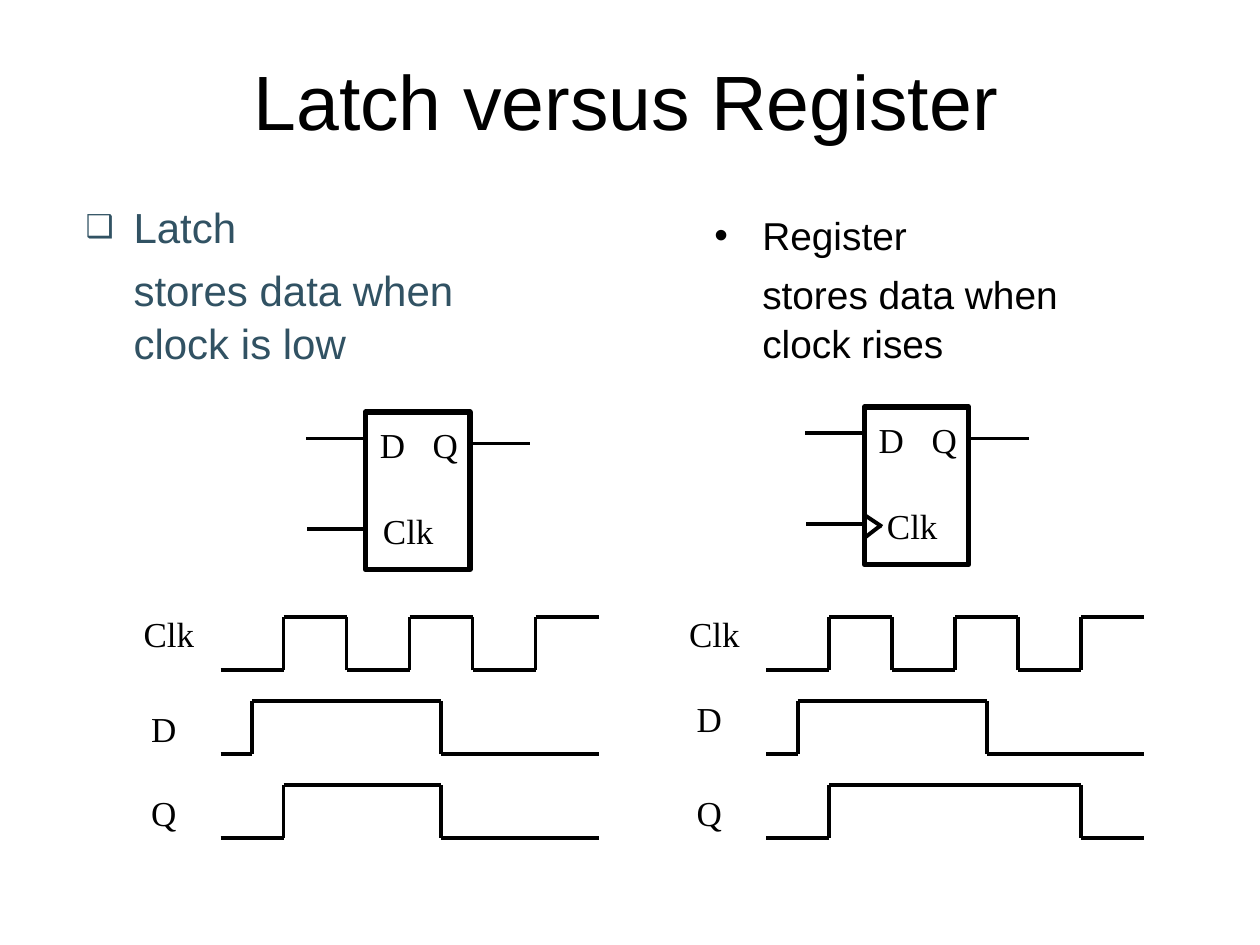
from dataclasses import dataclass

from lxml.etree import SubElement
from pptx import Presentation
from pptx.dml.color import RGBColor
from pptx.enum.shapes import MSO_CONNECTOR, MSO_SHAPE
from pptx.enum.text import MSO_ANCHOR as Anchor, MSO_AUTO_SIZE as AutoSize, PP_ALIGN as Align
from pptx.oxml.ns import qn
from pptx.util import Inches, Pt


@dataclass(frozen=True)
class Theme:
    ink: str = "000000"
    accent: str = "315263"
    sans: str = "Arial"
    serif: str = "Times New Roman"
    title_size: float = 44
    latch_size: float = 24
    register_size: float = 22.2
    label_size: float = 20
    frame_width: float = 3
    wire_width: float = 2.25


THEME = Theme()

# The slide is a grid of 40 columns by 30 rows, each cell a quarter inch
COLUMNS, ROWS, CELL = 40, 30, 0.25
LABEL_HEIGHT = 1.76
LETTER_WIDTH, CLOCK_WIDTH = 1.72, 2.72

# Timing diagrams: first low level, distance between signals, height of a pulse
WAVE_ROW, WAVE_PITCH, PULSE = 21.28, 2.66, 1.68

# Each signal is a list of (columns, level) steps
CLOCK = [(2, 0), (2, 1)] * 3
DATA = [(1, 0), (6, 1), (1, 0), (2, 0), (2, 0)]
LATCH_OUTPUT = [(2, 0), (2, 1), (2, 1), (1, 1), (3, 0), (2, 0)]
REGISTER_OUTPUT = [(2, 0), (2, 1), (2, 1), (4, 1), (2, 0)]


def grid(*cells):
    return [Inches(cell * CELL) for cell in cells]


def place(shape, left, top, width, height):
    shape.left, shape.top, shape.width, shape.height = grid(left, top, width, height)


def style_font(para, size, name, color):
    para.font.size = Pt(size)
    para.font.name = name
    para.font.color.rgb = RGBColor.from_string(color)


def set_bullet(para, char, color, percent):
    """Hang the paragraph on a bullet, or only indent it if there is none."""
    props = para._p.get_or_add_pPr()
    indent = Inches(0.38)
    props.set("marL", str(indent))
    props.set("indent", str(-indent if char else 0))
    if not char:
        SubElement(props, qn("a:buNone"))
        return
    tint = SubElement(props, qn("a:buClr"))
    SubElement(tint, qn("a:srgbClr"), val=color)
    SubElement(props, qn("a:buSzPct"), val=str(percent * 1000))
    SubElement(props, qn("a:buFont"), typeface=THEME.sans)
    SubElement(props, qn("a:buChar"), char=char)


def fill_title(title, text):
    place(title, 2.88, 1.6, 34, 3.12)
    frame = title.text_frame
    frame.text = text
    frame.auto_size = AutoSize.NONE
    frame.vertical_anchor = Anchor.MIDDLE
    para = frame.paragraphs[0]
    para.alignment = Align.CENTER
    style_font(para, THEME.title_size, THEME.sans, THEME.ink)


def fill_body(body, area, lines, bullet, percent, size, color):
    place(body, *area)
    frame = body.text_frame
    frame.text = "\n".join(lines)
    frame.auto_size = AutoSize.NONE
    frame.vertical_anchor = Anchor.TOP
    for number, para in enumerate(frame.paragraphs):
        para.space_before = Pt(6)
        para.line_spacing = 1.05
        set_bullet(para, "" if number else bullet, color, percent)
        style_font(para, size, THEME.sans, color)


def add_label(slide, text, left, top):
    width = LETTER_WIDTH if len(text) == 1 else CLOCK_WIDTH
    box = slide.shapes.add_textbox(*grid(left, top, width, LABEL_HEIGHT))
    frame = box.text_frame
    frame.text = text
    frame.word_wrap = False
    frame.auto_size = AutoSize.SHAPE_TO_FIT_TEXT
    frame.vertical_anchor = Anchor.MIDDLE
    para = frame.paragraphs[0]
    para.alignment = Align.CENTER
    style_font(para, THEME.label_size, THEME.serif, THEME.ink)


def add_wire(slide, *ends):
    wire = slide.shapes.add_connector(MSO_CONNECTOR.STRAIGHT, *grid(*ends))
    wire.line.color.rgb = RGBColor.from_string(THEME.ink)
    wire.line.width = Pt(THEME.wire_width)
    SubElement(wire._element.spPr, qn("a:effectLst"))


def add_symbol(slide, left, top, edge_triggered):
    """Draw the block with its pins; an edge trigger adds a wedge at the clock."""
    block = slide.shapes.add_shape(MSO_SHAPE.RECTANGLE, *grid(left, top, 3.32, 5))
    block.shadow.inherit = False
    block.fill.background()
    block.line.color.rgb = RGBColor.from_string(THEME.ink)
    block.line.width = Pt(THEME.frame_width)

    wires = [(-1.88, 0.84, 0, 0.84), (-1.84, 3.72, 0.08, 3.72), (3.36, 1, 5.24, 1)]
    if edge_triggered:
        wires += [(-0.04, 3.4, 0.56, 3.8), (0, 4.16, 0.52, 3.76)]
    for x1, y1, x2, y2 in wires:
        add_wire(slide, left + x1, top + y1, left + x2, top + y2)

    clock_shift = 0.16 if edge_triggered else 0
    for text, x, y in [("D", 0, 0.16), ("Q", 1.68, 0.16), ("Clk", clock_shift, 2.88)]:
        add_label(slide, text, left + x, top + y)


def add_waveform(slide, left, low, steps):
    """Draw level stretches, joined by an edge wherever the level changes."""
    x, previous = left, steps[0][1]
    for columns, level in steps:
        if level != previous:
            add_wire(slide, x, low, x, low - PULSE)
        y = low - level * PULSE
        add_wire(slide, x, y, x + columns, y)
        x, previous = x + columns, level


def add_timing(slide, left, output, data_label_row):
    signals = [
        ("Clk", CLOCK, 3, 19.24),
        ("D", DATA, 2.66, data_label_row),
        ("Q", output, 2.66, 24.92),
    ]
    for number, (name, steps, offset, label_row) in enumerate(signals):
        add_waveform(slide, left, WAVE_ROW + number * WAVE_PITCH, steps)
        add_label(slide, name, left - offset, label_row)


def main():
    deck = Presentation()
    deck.slide_width, deck.slide_height = grid(COLUMNS, ROWS)
    slide = deck.slides.add_slide(deck.slide_layouts.get_by_name("Two Content"))
    title, latch_body, register_body = list(slide.placeholders)[:3]
    fill_title(title, "Latch versus Register")

    # Latch on the left
    fill_body(latch_body, (2.32, 6.12, 18.16, 5.32),
              ["Latch", "stores data when\vclock is low"],
              "❑", 75, THEME.latch_size, THEME.accent)
    add_symbol(slide, 11.6, 13.08, edge_triggered=False)
    add_timing(slide, 7, LATCH_OUTPUT, data_label_row=22.24)

    # Register on the right
    fill_body(register_body, (22.28, 6.44, 15.72, 5.32),
              ["Register", "stores data when\vclock rises"],
              "•", 100, THEME.register_size, THEME.ink)
    add_symbol(slide, 27.44, 12.92, edge_triggered=True)
    add_timing(slide, 24.32, REGISTER_OUTPUT, data_label_row=21.92)

    # Date, footer and number stay off this slide
    for spare in list(slide.placeholders)[3:]:
        spare._element.getparent().remove(spare._element)
    deck.save("out.pptx")


if __name__ == "__main__":
    main()
